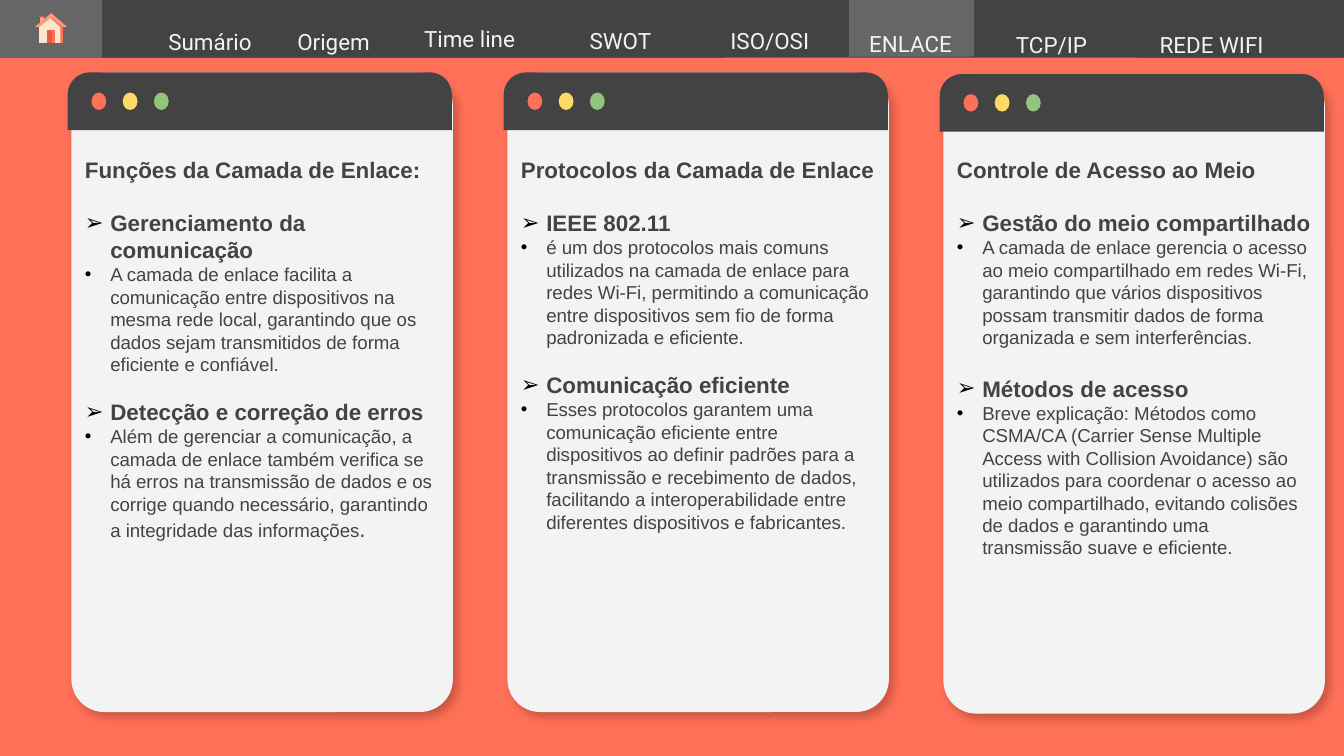
from lxml.etree import SubElement
from pptx import Presentation
from pptx.dml.color import RGBColor
from pptx.enum.shapes import MSO_SHAPE
from pptx.enum.text import MSO_ANCHOR, MSO_AUTO_SIZE, PP_ALIGN
from pptx.oxml.ns import qn
from pptx.util import Cm, Pt

CORAL = RGBColor(0xFF, 0x70, 0x58)
DARK = RGBColor(0x43, 0x43, 0x43)
GREY = RGBColor(0x66, 0x66, 0x66)
LIGHT = RGBColor(0xF3, 0xF3, 0xF3)
YELLOW = RGBColor(0xFF, 0xD9, 0x66)
GREEN = RGBColor(0x93, 0xC4, 0x7D)
CREAM = RGBColor(0xFC, 0xE5, 0xCD)
PINK = RGBColor(0xF9, 0xAB, 0xA0)
RED = RGBColor(0xE5, 0x5A, 0x43)
ORANGE = RGBColor(0xFF, 0x9A, 0x75)
BLACK = RGBColor(0, 0, 0)
SHADOW = RGBColor(0x96, 0x3A, 0x2A)

BAR_HEIGHT, HOME_WIDTH, TAB_WIDTH = 1.09, 1.93, 3.91
PAGE_TITLE = "ENLACE"
# Label, left, top and width in cm
NAVIGATION = [
    ("Sumário", 2.84, 0.25, 2.26), ("Origem", 5.16, 0.25, 2.29),
    ("Time line", 7.49, 0.2, 2.77), ("SWOT", 10.29, 0.23, 2.87),
    ("ISO/OSI", 13.18, 0.23, 2.74), (PAGE_TITLE, 15.98, 0.28, 2.46),
    ("TCP/IP", 18.49, 0.3, 2.77), ("REDE WIFI", 21.31, 0.3, 3.18),
]

# House outlines in hundredths of a cm
HOUSE = [
    (PINK, [(76, 33), (76, 43), (84, 36), (84, 33)]),
    (CREAM, [(97, 30), (74, 51), (74, 81), (119, 81), (119, 51)]),
    (CORAL, [(97, 30), (94, 33), (114, 51), (114, 81), (119, 81), (119, 51)]),
    (RED, [(74, 30), (74, 33), (84, 33), (84, 30)]),
    (RED, [(89, 56), (89, 81), (104, 81), (104, 56)]),
    (CORAL, [(99, 56), (99, 81), (104, 81), (104, 56)]),
    (ORANGE, [(97, 25), (66, 51), (74, 51), (97, 33), (119, 51), (127, 51)]),
]

CARD_LEFT, CARD_PITCH, CARD_WIDTH, CARD_HEIGHT = 1.35, 8.24, 7.21, 12.09
# Sections hold a heading, a text and a larger closing mark
CARDS = [
    dict(top=1.37, text_height=8.2, gap=12.4, title="Funções da Camada de Enlace:", sections=[
        ("Gerenciamento da comunicação",
         "A camada de enlace facilita a comunicação entre dispositivos na mesma rede local, "
         "garantindo que os dados sejam transmitidos de forma eficiente e confiável.", ""),
        ("Detecção e correção de erros",
         "Além de gerenciar a comunicação, a camada de enlace também verifica se há erros na "
         "transmissão de dados e os corrige quando necessário, garantindo a integridade das "
         "informações", "."),
    ]),
    dict(top=1.37, text_height=7.87, gap=12.4, title="Protocolos da Camada de Enlace", sections=[
        ("IEEE 802.11",
         "é um dos protocolos mais comuns utilizados na camada de enlace para redes Wi-Fi, "
         "permitindo a comunicação entre dispositivos sem fio de forma padronizada e "
         "eficiente.", ""),
        ("Comunicação eficiente",
         "Esses protocolos garantem uma comunicação eficiente entre dispositivos ao definir "
         "padrões para a transmissão e recebimento de dados, facilitando a "
         "interoperabilidade entre diferentes dispositivos e fabricantes.", ""),
    ]),
    dict(top=1.4, text_height=8.56, gap=14.2, title="Controle de Acesso ao Meio", sections=[
        ("Gestão do meio compartilhado",
         "A camada de enlace gerencia o acesso ao meio compartilhado em redes Wi-Fi, "
         "garantindo que vários dispositivos possam transmitir dados de forma organizada e "
         "sem interferências.", ""),
        ("Métodos de acesso",
         "Breve explicação: Métodos como CSMA/CA (Carrier Sense Multiple Access with "
         "Collision Avoidance) são utilizados para coordenar o acesso ao meio compartilhado, "
         "evitando colisões de dados e garantindo uma transmissão suave e eficiente.", ""),
    ]),
]


def set_format(target, **values):
    for name, value in values.items():
        setattr(target, name, value)


def paint(shape, color):
    shape.shadow.inherit = False
    shape.fill.solid()
    shape.fill.fore_color.rgb = color
    shape.line.fill.background()


def add_block(slide, kind, box, color, adjustments=()):
    shape = slide.shapes.add_shape(kind, *map(Cm, box))
    for index, value in enumerate(adjustments):
        shape.adjustments[index] = value
    paint(shape, color)
    return shape


def add_shadow(shape):
    effects = shape._element.spPr.find(qn("a:effectLst"))
    shadow = SubElement(effects, qn("a:outerShdw"), blurRad=str(Pt(4.5)), dist=str(Pt(3.75)),
                        dir=str(49 * 60000), algn="bl", rotWithShape="0")
    color = SubElement(shadow, qn("a:srgbClr"), val=str(SHADOW))
    SubElement(color, qn("a:alpha"), val="47000")


def place(shape, box):
    """Puts a shape in its box, in front of everything drawn so far."""
    left, top, width, height = map(Cm, box)
    set_format(shape, left=left, top=top, width=width, height=height)
    shape._element.getparent().append(shape._element)


def add_run(paragraph, text, size, bold, color, font):
    run = paragraph.add_run()
    run.text = text
    set_format(run.font, size=Pt(size), bold=bold, name=font)
    run.font.color.rgb = color


def set_bullet(paragraph, mark=None):
    properties = paragraph._p.get_or_add_pPr()
    indent = Cm(0.48) if mark else 0
    properties.set("marL", str(indent))
    properties.set("indent", str(-indent))
    if not mark:
        SubElement(properties, qn("a:buNone"))
        return
    color = SubElement(properties, qn("a:buClr"))
    SubElement(color, qn("a:srgbClr"), val=str(BLACK))
    SubElement(properties, qn("a:buFont"), typeface="Arial")
    SubElement(properties, qn("a:buChar"), char=mark)


def add_label(shape, text, box):
    place(shape, box)
    frame = shape.text_frame
    set_format(frame, word_wrap=True, auto_size=MSO_AUTO_SIZE.NONE,
               vertical_anchor=MSO_ANCHOR.MIDDLE, margin_left=Cm(0.25), margin_right=Cm(0.25),
               margin_top=Cm(0.51), margin_bottom=0)
    paragraph = frame.paragraphs[0]
    set_format(paragraph, alignment=PP_ALIGN.CENTER, space_after=Pt(16))
    add_run(paragraph, text, 12, False, LIGHT, "Roboto")


def add_navigation(slide, width):
    # Bar, home tab and page tabs
    add_block(slide, MSO_SHAPE.RECTANGLE, (0, 0, width, BAR_HEIGHT), DARK)
    add_block(slide, MSO_SHAPE.RECTANGLE, (0, 0, HOME_WIDTH, BAR_HEIGHT), GREY)
    for index in (0, 1, 2, 5):
        left = HOME_WIDTH + index * TAB_WIDTH
        add_block(slide, MSO_SHAPE.RECTANGLE, (left, 0, TAB_WIDTH, BAR_HEIGHT), DARK)
    add_block(slide, MSO_SHAPE.RECTANGLE, (16.05, 0, 2.36, 1.07), GREY)
    # House icon
    for color, points in HOUSE:
        builder = slide.shapes.build_freeform(*points[0], scale=Cm(0.01))
        builder.add_line_segments(points[1:], close=True)
        paint(builder.convert_to_shape(), color)
    # Labels, the current page being the slide title
    for text, left, top, label_width in NAVIGATION:
        box = left, top, label_width, 0.56
        is_title = text == PAGE_TITLE
        shape = slide.shapes.title if is_title else slide.shapes.add_textbox(*map(Cm, box))
        add_label(shape, text, box)


def fill_card_text(frame, title, sections, gap):
    set_format(frame, word_wrap=True, auto_size=MSO_AUTO_SIZE.NONE,
               vertical_anchor=MSO_ANCHOR.TOP)
    rows = [(title, "", None, 12, 0)]
    for index, (heading, text, ending) in enumerate(sections):
        rows.append((heading, "", "➢", 12, gap if index else 14.2))
        rows.append((text, ending, "•", 10, 0))
    for index, (text, ending, mark, size, before) in enumerate(rows):
        paragraph = frame.add_paragraph() if index else frame.paragraphs[0]
        set_format(paragraph, alignment=PP_ALIGN.LEFT, space_before=Pt(before))
        set_bullet(paragraph, mark)
        add_run(paragraph, text, size, size == 12, DARK, "Arial")
        if ending:
            add_run(paragraph, ending, 12, False, DARK, "Arial")


def add_card(slide, body, left, top, text_height, gap, title, sections):
    # Panel and window header
    panel = add_block(slide, MSO_SHAPE.ROUNDED_RECTANGLE,
                      (left, top, CARD_WIDTH, CARD_HEIGHT), LIGHT, [0.086])
    add_shadow(panel)
    header_left = left - 0.07
    add_block(slide, MSO_SHAPE.ROUND_2_SAME_RECTANGLE,
              (header_left, top, 7.26, BAR_HEIGHT), DARK, [0.383, 0])
    # Window buttons
    for index, color in enumerate((CORAL, YELLOW, GREEN)):
        box = header_left + 0.45 + index * 0.59, top + 0.38, 0.28, 0.33
        add_block(slide, MSO_SHAPE.OVAL, box, color)
    # Text
    place(body, (left, 2.82, CARD_WIDTH, text_height))
    fill_card_text(body.text_frame, title, sections, gap)


def main():
    presentation = Presentation()
    set_format(presentation, slide_width=Cm(25.4), slide_height=Cm(14.29))
    slide = presentation.slides.add_slide(presentation.slide_layouts.get_by_name("Comparison"))
    slide.background.fill.solid()
    slide.background.fill.fore_color.rgb = CORAL
    bodies = [shape for shape in slide.placeholders if shape != slide.shapes.title]
    add_navigation(slide, 25.4)
    for index, card in enumerate(CARDS):
        add_card(slide, bodies[index], CARD_LEFT + index * CARD_PITCH, **card)
    for body in bodies[len(CARDS):]:
        body._element.getparent().remove(body._element)
    presentation.save("out.pptx")


if __name__ == "__main__":
    main()
